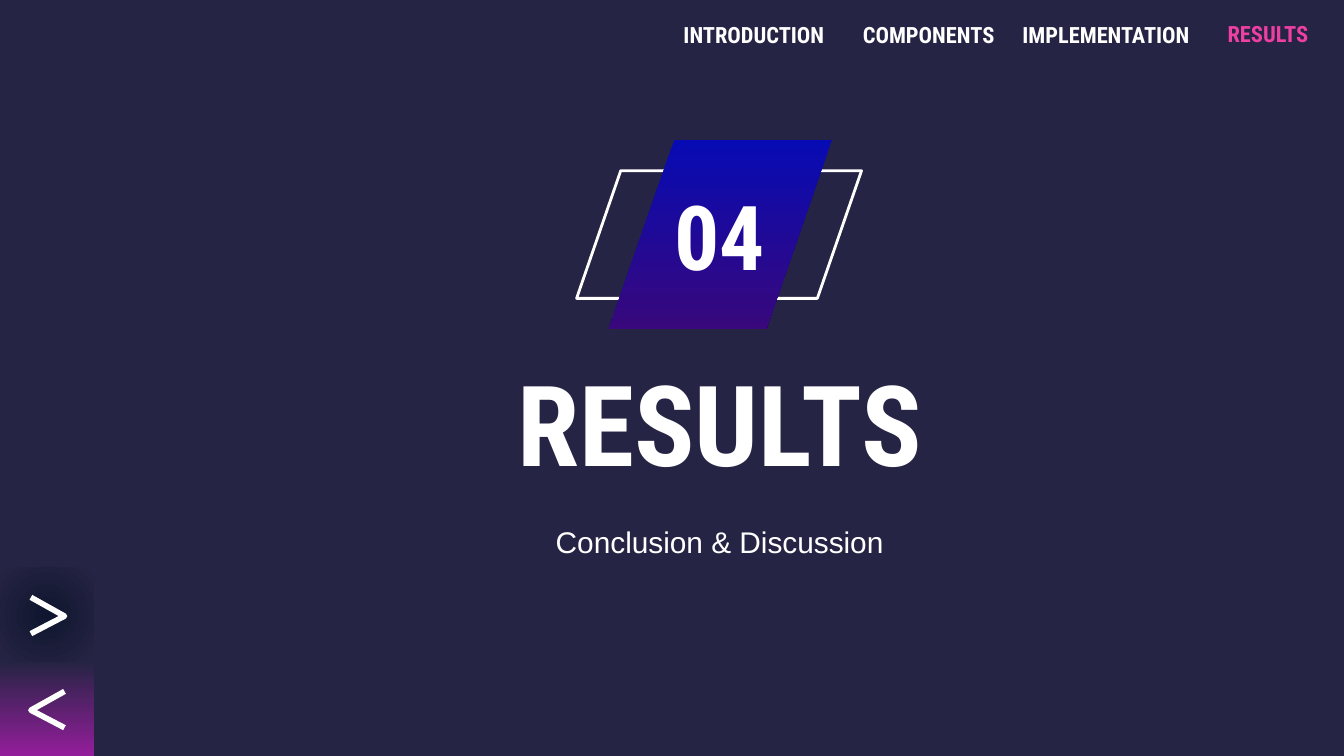
from lxml import etree
from pptx import Presentation
from pptx.dml.color import RGBColor
from pptx.enum.shapes import MSO_SHAPE as Shape
from pptx.enum.text import MSO_ANCHOR as Anchor, PP_ALIGN as Align
from pptx.oxml import parse_xml
from pptx.oxml.ns import nsdecls, qn
from pptx.util import Inches, Pt

COLORS = {
    "background": "262444",
    "text": "FFFFFF",
    "active": "EE3FA2",
    "badge_top": "070BB3",
    "badge_bottom": "38087C",
    "back": "931E9B",
    "forward": "10162F",
}
HEADING = "Roboto Condensed"
BODY = "Arial"
SLIDE_WIDTH = 10
SLIDE_HEIGHT = SLIDE_WIDTH * 9 / 16


def rgb(name):
    """Return the named palette colour."""
    return RGBColor.from_string(COLORS[name])


def add_text(slide, text, box, size, font=HEADING, bold=True, color="text"):
    """Place centred text in a box given as left, top, width, height."""
    label = slide.shapes.add_textbox(*map(Inches, box))
    frame = label.text_frame
    frame.word_wrap = True
    frame.vertical_anchor = Anchor.MIDDLE
    frame.margin_left = frame.margin_right = Inches(0.1)
    frame.margin_top = frame.margin_bottom = Inches(0.1)
    paragraph = frame.paragraphs[0]
    paragraph.alignment = Align.CENTER
    run = paragraph.add_run()
    run.text = text
    run.font.size = Pt(size)
    run.font.name = font
    run.font.bold = bold
    run.font.color.rgb = rgb(color)


def outline(shape, width):
    """Leave a shape unfilled with a white outline."""
    shape.shadow.inherit = False
    shape.fill.background()
    shape.line.color.rgb = rgb("text")
    shape.line.width = Pt(width)


def shade(shape, start, end, radial=False):
    """Fill a shape with a gradient, downward or from its centre."""
    shape.shadow.inherit = False
    shape.line.fill.background()
    shape.fill.gradient()
    shape.fill.gradient_angle = 270
    for stop, position, color in zip(shape.fill.gradient_stops, (0, 1), (start, end)):
        stop.position = position
        stop.color.rgb = rgb(color)
    if radial:
        gradient = shape._element.spPr.find(qn("a:gradFill"))
        circle = parse_xml(f'<a:path {nsdecls("a")} path="circle"/>')
        etree.SubElement(circle, qn("a:fillToRect"),
                         {side: "50000" for side in "ltrb"})
        gradient.replace(gradient.find(qn("a:lin")), circle)


def add_slanted(slide, box):
    """Add a parallelogram with the shared slant."""
    slanted = slide.shapes.add_shape(Shape.PARALLELOGRAM, *map(Inches, box))
    slanted.adjustments[0] = 0.346
    return slanted


def add_badge(slide, left, top, width, height, number):
    """Draw the section number on its slanted plates."""
    outline(add_slanted(slide, (left, top + 0.23, width, height - 0.46)), 1.5)
    plate = add_slanted(slide, (left + 0.24, top, width - 0.46, height))
    shade(plate, "badge_top", "badge_bottom")
    add_text(slide, number, (left - 0.66, top + 0.41, 3.45, 0.59), 48)


def add_heading(slide, left, top, width, title, subtitle):
    """Place the section title above its subtitle."""
    add_text(slide, title, (left, top, width, 0.92), 60)
    add_text(slide, subtitle, (left + 1.48, top + 0.96, width - 2.96, 0.78), 16,
             font=BODY, bold=False)


def add_arrow_button(slide, left, top, side, start, end, forward):
    """Draw a square button with a chevron pointing forward or back."""
    button = slide.shapes.add_shape(
        Shape.RECTANGLE, *map(Inches, (left, top, side, side)))
    shade(button, start, end, radial=forward)
    near, far = left + 0.23, left + 0.48
    tail, tip = (near, far) if forward else (far, near)
    points = [(Inches(x), Inches(top + y))
              for x, y in ((tail, 0.22), (tip, 0.36), (tail, 0.49))]
    builder = slide.shapes.build_freeform(*points[0])
    builder.add_line_segments(points[1:], close=False)
    outline(builder.convert_to_shape(), 3)


def add_navigation(slide, left, top, sections, active):
    """Place the section names along the top, with the active one coloured."""
    for name, offset, rise, width in sections:
        add_text(slide, name, (left + offset, top - rise, width, 0.36), 12,
                 color="active" if name == active else "text")


def main():
    """Build the section slide and save it."""
    deck = Presentation()
    deck.slide_width, deck.slide_height = Inches(SLIDE_WIDTH), Inches(SLIDE_HEIGHT)
    slide = deck.slides.add_slide(deck.slide_layouts[6])
    slide.background.fill.solid()
    slide.background.fill.fore_color.rgb = rgb("background")

    add_badge(slide, 4.29, 1.04, 2.12, 1.41, "04")
    add_heading(slide, 1.49, 2.68, 7.73, "RESULTS", "Conclusion & Discussion")
    side = 0.7
    add_arrow_button(slide, 0, SLIDE_HEIGHT - side, side,
                     "background", "back", forward=False)
    add_arrow_button(slide, 0, SLIDE_HEIGHT - 2 * side, side,
                     "forward", "background", forward=True)
    sections = [
        ("INTRODUCTION", 0, 0, 1.36),
        ("COMPONENTS", 1.36, 0, 1.24),
        ("IMPLEMENTATION", 2.55, 0, 1.5),
        ("RESULTS", 3.94, 0.01, 1.13),
    ]
    add_navigation(slide, 4.93, 0.08, sections, "RESULTS")
    deck.save("out.pptx")


if __name__ == "__main__":
    main()
